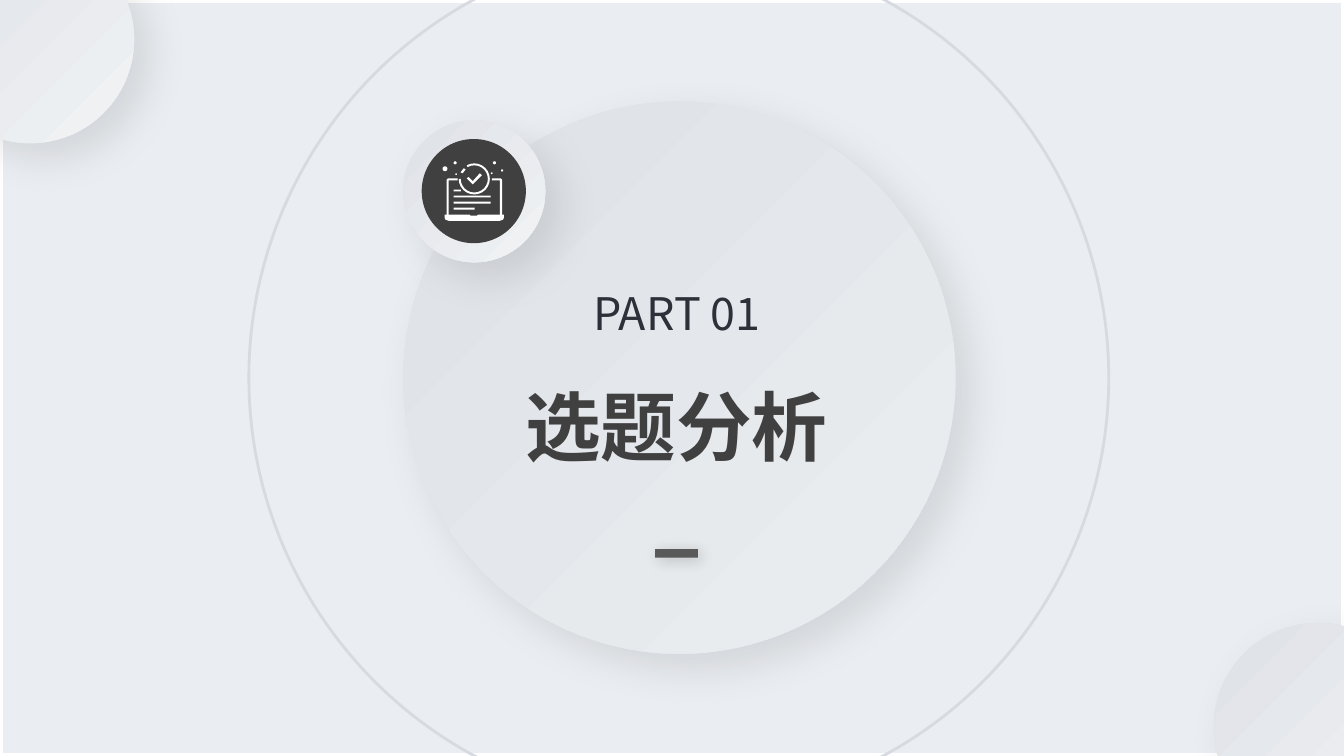
"""Build the section slide for part 01."""
from pptx import Presentation
from pptx.dml.color import RGBColor
from pptx.enum.shapes import MSO_SHAPE
from pptx.enum.text import MSO_AUTO_SIZE, PP_ALIGN
from pptx.oxml import parse_xml
from pptx.oxml.ns import nsdecls, qn
from pptx.util import Pt

RECT = MSO_SHAPE.RECTANGLE
OVAL = MSO_SHAPE.OVAL
ARC = MSO_SHAPE.ARC
CENTER = PP_ALIGN.CENTER
GROW = MSO_AUTO_SIZE.SHAPE_TO_FIT_TEXT
FONT = "Noto Sans CJK SC"
WHITE = "FFFFFF"
DARK = "404040"
SOFT = ("DEE1E6", "F1F3F5")
DEEP = (10, 30, 15)
rgb = RGBColor.from_string


def style(s, fill=None, line=None, width=1, shadow=None):
    """Set fill (a hex string or a pair for a gradient), line and shadow."""
    s.shadow.inherit = False
    if isinstance(fill, tuple):
        s.fill.gradient()
        s.fill.gradient_angle = 315
        for stop, color in zip(s.fill.gradient_stops, fill):
            stop.color.rgb = rgb(color)
    elif fill:
        s.fill.solid()
        s.fill.fore_color.rgb = rgb(fill)
    else:
        s.fill.background()
    if line:
        s.line.color.rgb = rgb(line)
        s.line.width = Pt(width)
    else:
        s.line.fill.background()
    if shadow:
        alpha, blur, dist = shadow
        s._element.spPr.find(qn("a:effectLst")).append(parse_xml(
            f'<a:outerShdw {nsdecls("a")} blurRad="{Pt(blur)}" dist="{Pt(dist)}" '
            'dir="2700000" algn="tl" rotWithShape="0"><a:srgbClr val="000000">'
            f'<a:alpha val="{alpha * 1000}"/></a:srgbClr></a:outerShdw>'))


def add_text(text, box, size, color, bold=False, spacing=None):
    """Add a centred line of text."""
    tf = shapes.add_textbox(*map(Pt, box)).text_frame
    tf.word_wrap = True
    tf.auto_size = GROW
    p = tf.paragraphs[0]
    p.alignment = CENTER
    p.line_spacing = spacing
    r = p.add_run()
    r.text = text
    r.font.name = FONT
    r.font.size = Pt(size)
    r.font.bold = bold
    r.font.color.rgb = rgb(color)
    r._r.get_or_add_rPr().append(
        parse_xml(f'<a:ea {nsdecls("a")} typeface="{FONT}"/>'))


prs = Presentation()
prs.slide_width = Pt(960)
prs.slide_height = Pt(540)
slide = prs.slides.add_slide(prs.slide_layouts[6])
shapes = slide.shapes
slide.background.fill.solid()
slide.background.fill.fore_color.rgb = rgb(WHITE)

frame = shapes.add_shape(RECT, 0, 0, Pt(960), Pt(540))
style(frame, fill="EAEDF1", line=WHITE, width=4.5)
disc = shapes.add_shape(OVAL, Pt(288), Pt(72.5), Pt(394.5), Pt(394.5))
style(disc, fill=("DEE1E6", "EAEEF1"), shadow=DEEP)

add_text("PART 01", (338.4, 200.2, 290.2, 46), 32, "2D3039")
add_text("选题分析", (309.6, 248.4, 347, 84.2), 54, DARK, bold=True, spacing=1.3)

dash = shapes.add_shape(RECT, Pt(468), Pt(392.2), Pt(30.5), Pt(6.2))
style(dash, fill="595959", shadow=(20, 10, 3))
for x, y in [(-52.5, -46), (867, 445)]:
    corner = shapes.add_shape(OVAL, Pt(x), Pt(y), Pt(148.3), Pt(148.3))
    style(corner, fill=SOFT, shadow=DEEP)
ring = shapes.add_shape(OVAL, Pt(177.8), Pt(-37.4), Pt(614.2), Pt(614.2))
style(ring, line="D7DBE1", width=2)

icon = shapes.add_group_shape().shapes
badge = icon.add_shape(OVAL, Pt(288), Pt(85.9), Pt(101.5), Pt(101.5))
style(badge, fill=SOFT, shadow=DEEP)
core = icon.add_shape(OVAL, Pt(301.2), Pt(99.3), Pt(74.4), Pt(74.4))
style(core, fill=DARK)

check = [(337.7, 131.8), (333.4, 127.4), (334.8, 126.5), (337.7, 129.4),
         (342.7, 123.8), (344.2, 125.2)]
screen = [(326.9, 127.4), (320, 127.4), (319, 128.4), (319, 156.2),
          (358.6, 156.2), (358.6, 128.4), (357.6, 127.4), (351.4, 127.4),
          (351.4, 128.9), (357.1, 128.9), (357.1, 154.8), (320.4, 154.8),
          (320.4, 128.9), (326.9, 128.9)]
base = [(317.5, 153.4), (335.5, 153.4), (336.2, 154.1), (340.6, 154.1),
        (341.3, 153.4), (360, 153.4), (360, 155.5), (359.2, 157),
        (357.1, 157.7), (320.4, 157.7), (318.3, 157), (317.5, 155.5)]
tick = [(329, 123.1), (331.2, 120.2), (332.6, 121), (330.5, 123.8)]
for points in (check, screen, base, tick):
    start, *rest = [(x * 100, y * 100) for x, y in points]
    outline = icon.build_freeform(*start, scale=Pt(0.01))
    outline.add_line_segments(rest, close=True)
    style(outline.convert_to_shape(), fill=WHITE)

lens = icon.add_shape(ARC, Pt(328.4), Pt(117.4), Pt(20.8), Pt(20.8))
lens.adjustments[0] = 241 * 0.6
lens.adjustments[1] = 180 * 0.6
style(lens, line=WHITE, width=1.4)

for x, y, size in [(352.1, 115.2, 2.2), (350.6, 123.1, 1.3), (324, 115.2, 2.2),
                   (325.2, 123.8, 1.2), (357.9, 121, 1.6), (316.1, 118.8, 3.5)]:
    dot = icon.add_shape(OVAL, Pt(x), Pt(y), Pt(size), Pt(size))
    style(dot, fill=WHITE)
for i, width in enumerate([5.2, 26.6, 26.6, 15.1]):
    row = icon.add_shape(RECT, Pt(324), Pt(135.4 + 4.3 * i), Pt(width), Pt(1.4))
    style(row, fill=WHITE)

prs.save("out.pptx")
